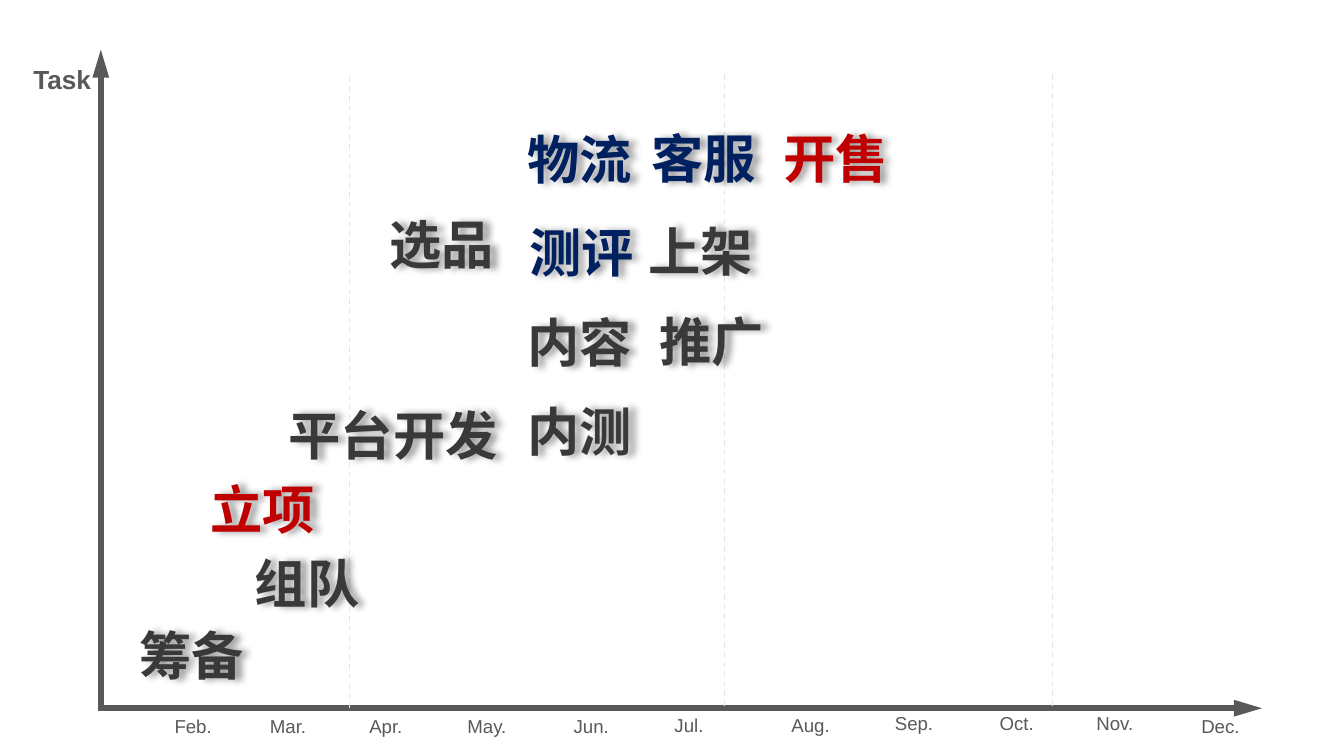
from lxml.etree import SubElement
from pptx import Presentation
from pptx.dml.color import RGBColor
from pptx.enum.dml import MSO_LINE
from pptx.enum.shapes import MSO_CONNECTOR
from pptx.enum.text import MSO_AUTO_SIZE, PP_ALIGN
from pptx.oxml.ns import qn
from pptx.util import Inches, Pt

THEME = {
    "font": "Arial", "axis": "595959", "grid": "E7E6E6",
    "dark": "3B3838", "red": "C00000", "navy": "002060",
    "task": 28, "title": 14, "month": 10,
}

MONTHS = [
    ("Feb.", 1.2, 5.27, 0.48), ("Mar.", 1.91, 5.27, 0.48),
    ("Apr.", 2.65, 5.27, 0.46), ("May.", 3.38, 5.27, 0.51),
    ("Jun.", 4.17, 5.27, 0.46), ("Jul.", 4.92, 5.26, 0.42),
    ("Aug.", 5.79, 5.26, 0.49), ("Sep.", 6.56, 5.25, 0.49),
    ("Oct.", 7.34, 5.25, 0.46), ("Nov.", 8.06, 5.25, 0.49),
    ("Dec.", 8.84, 5.27, 0.49),
]

TASKS = [
    ("筹备", "dark", 0.93, 4.59),
    ("组队", "dark", 1.79, 4.05),
    ("立项", "red", 1.46, 3.5),
    ("平台开发", "dark", 2.04, 2.95),
    ("内测", "dark", 3.82, 2.92),
    ("内容", "dark", 3.82, 2.26),
    ("推广", "dark", 4.8, 2.25),
    ("选品", "dark", 2.79, 1.53),
    ("测评", "navy", 3.83, 1.59),
    ("上架", "dark", 4.72, 1.58),
    ("物流", "navy", 3.82, 0.9),
    ("客服", "navy", 4.74, 0.89),
    ("开售", "red", 5.72, 0.89),
]

AXES = [(0.73, 5.27, 9.39, 5.27), (0.75, 5.25, 0.75, 0.37)]
GRID = [(2.6, 5.27, 2.6, 0.54), (5.39, 5.25, 5.39, 0.52),
        (7.83, 5.25, 7.83, 0.52)]


def add_text(slide, text, box, size, color, bold=False, align=PP_ALIGN.LEFT):
    shape = slide.shapes.add_textbox(*map(Inches, box))
    frame = shape.text_frame
    frame.word_wrap = False
    frame.auto_size = MSO_AUTO_SIZE.SHAPE_TO_FIT_TEXT
    para = frame.paragraphs[0]
    para.text = text
    para.alignment = align
    font = para.font
    font.name = THEME["font"]
    font.size = Pt(THEME[size])
    font.bold = bold
    font.color.rgb = RGBColor.from_string(THEME[color])
    return shape


def add_line(slide, ends, color, width):
    line = slide.shapes.add_connector(MSO_CONNECTOR.STRAIGHT, *map(Inches, ends))
    line.line.color.rgb = RGBColor.from_string(THEME[color])
    line.line.width = Pt(width)
    SubElement(line._element.spPr, qn("a:effectLst"))
    return line


def add_arrow(line):
    SubElement(line.line._get_or_add_ln(), qn("a:tailEnd"),
               type="triangle", w="med", len="lg")


def add_shadow(shape):
    effects = SubElement(shape._element.spPr, qn("a:effectLst"))
    shadow = SubElement(effects, qn("a:outerShdw"), blurRad="50800",
                        dist="38100", dir="0", algn="l", rotWithShape="0")
    black = SubElement(shadow, qn("a:srgbClr"), val="000000")
    SubElement(black, qn("a:alpha"), val="40000")


def main():
    deck = Presentation()
    deck.slide_width = Inches(10)
    deck.slide_height = deck.slide_width * 9 // 16
    slide = deck.slides.add_slide(deck.slide_layouts[6])

    add_text(slide, "Task", (0.15, 0.42, 0.63, 0.34), "title", "axis", True)
    for ends in AXES:
        add_arrow(add_line(slide, ends, "axis", 3))
    for name, left, top, width in MONTHS:
        add_text(slide, name, (left, top, width, 0.27), "month", "axis")
    for ends in GRID:
        add_line(slide, ends, "grid", 0.75).line.dash_style = MSO_LINE.DASH
    for name, color, left, top in TASKS:
        width = 0.21 + 0.39 * len(name)
        add_shadow(add_text(slide, name, (left, top, width, 0.57),
                            "task", color, True, PP_ALIGN.CENTER))

    deck.save("out.pptx")


if __name__ == "__main__":
    main()
